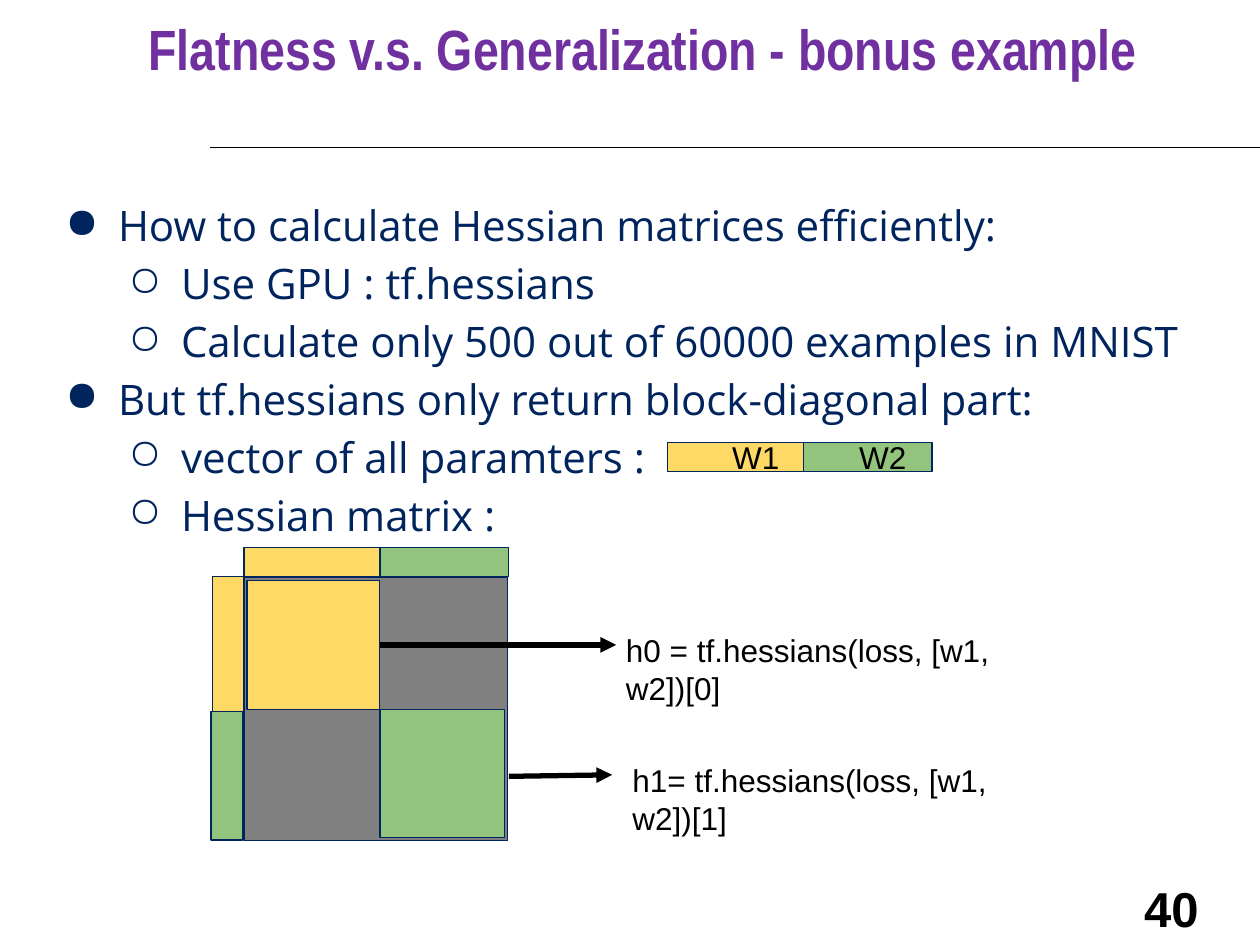
from lxml import etree
from pptx import Presentation
from pptx.dml.color import RGBColor
from pptx.enum import shapes, text
from pptx.oxml.ns import qn
from pptx.util import Cm, Pt

NAVY, BLACK, PURPLE = "00245D", "000000", "7030A0"
YELLOW, GREEN, GRAY = "FFD966", "93C47D", "808080"


def color(hex_string):
    return RGBColor.from_string(hex_string)


def write(paragraph, content, size=18, font="Arial", fill=BLACK, bold=False,
          align=text.PP_ALIGN.LEFT):
    paragraph.alignment = align
    run = paragraph.add_run()
    run.text = content
    run.font.size = Pt(size)
    run.font.name = font
    run.font.bold = bold
    run.font.color.rgb = color(fill)


presentation = Presentation()
presentation.slide_width, presentation.slide_height = Cm(25.4), Cm(19.05)
slide = presentation.slides.add_slide(presentation.slide_layouts[5])

# Title
title = slide.shapes.title
title.left, title.top, title.width, title.height = Cm(2.74), Cm(0.03), Cm(23.67), Cm(2.62)
title.text_frame.vertical_anchor = text.MSO_ANCHOR.TOP
title.text_frame.auto_size = text.MSO_AUTO_SIZE.NONE
title.text_frame.margin_top = Cm(0.25)
write(title.text_frame.paragraphs[0], "Flatness v.s. Generalization - bonus example",
      size=32.4, font="Arial Narrow", fill=PURPLE, bold=True)

# Bullet list
body = slide.shapes.add_textbox(Cm(0.86), Cm(3.63), Cm(23.67), Cm(15.01)).text_frame
body.word_wrap = True
body.margin_top = Cm(0.25)
bullets = [
    (0, "How to calculate Hessian matrices efficiently:"),
    (1, "Use GPU : tf.hessians"),
    (1, "Calculate only 500 out of 60000 examples in MNIST"),
    (0, "But tf.hessians only return block-diagonal part:"),
    (1, "vector of all paramters :"),
    (1, "Hessian matrix :"),
]
for index, (level, content) in enumerate(bullets):
    paragraph = body.add_paragraph() if index else body.paragraphs[0]
    paragraph.level = level
    paragraph.line_spacing = 1.15
    write(paragraph, content, size=24, font="Open Sans", fill=NAVY)
    properties = paragraph._p.get_or_add_pPr()
    properties.set("marL", str(Cm(1.27 * (level + 1))))
    properties.set("indent", str(Cm(-1.06)))
    bullet_color = etree.SubElement(properties, qn("a:buClr"))
    etree.SubElement(bullet_color, qn("a:srgbClr"), val=NAVY)
    etree.SubElement(properties, qn("a:buChar"), char="●○"[level])

# Hessian matrix, its row and column strips, and the parameter vector
W1, W2, BAND = 2.74, 2.59, 0.59
LEFT, TOP = 4.92, 11.63
VECTOR_LEFT, VECTOR_TOP = 13.46, 8.92
blocks = [  # left, top, width, height, rotation, fill, label, label inset
    (LEFT, TOP, 5.31, 5.31, 0, GRAY, "", 0),
    (LEFT, TOP - BAND, W1, BAND, 0, YELLOW, "", 0),
    (3.23, 12.67, W1, 0.64, 270, YELLOW, "", 0),
    (LEFT + W1, TOP - BAND, W2, BAND, 0, GREEN, "", 0),
    (3.28, 15.32, W2, 0.64, 90, GREEN, "", 0),
    (4.98, 11.71, 2.67, 2.59, 0, YELLOW, "", 0),
    (LEFT + W1, 14.3, 2.51, 2.59, 0, GREEN, "", 0),
    (VECTOR_LEFT, VECTOR_TOP, W1, BAND, 0, YELLOW, "W1", 1.3),
    (VECTOR_LEFT + W1, VECTOR_TOP, W2, BAND, 0, GREEN, "W2", 1.12),
]
for left, top, width, height, rotation, fill, label, inset in blocks:
    block = slide.shapes.add_shape(shapes.MSO_SHAPE.RECTANGLE,
                                   Cm(left), Cm(top), Cm(width), Cm(height))
    block.rotation = rotation
    block.shadow.inherit = False
    block.fill.solid()
    block.fill.fore_color.rgb = color(fill)
    block.line.color.rgb = color(NAVY)
    block.line.width = Pt(0.75)
    if label:
        frame = block.text_frame
        frame.margin_left, frame.margin_right = Cm(inset), Cm(0)
        frame.margin_top = frame.margin_bottom = Cm(0.25)
        frame.vertical_anchor = text.MSO_ANCHOR.MIDDLE
        write(frame.paragraphs[0], label)

# Title rule and arrows to the calls
lines = [  # start x, start y, end x, end y, width, arrowhead
    (4.24, 2.97, 25.4, 2.97, 0.75, False),
    (LEFT + W1, 13, 12.42, 13, 3, True),
    (10.26, 15.65, 12.34, 15.62, 3, True),
]
for start_x, start_y, end_x, end_y, width, arrowhead in lines:
    line = slide.shapes.add_connector(shapes.MSO_CONNECTOR.STRAIGHT,
                                      Cm(start_x), Cm(start_y), Cm(end_x), Cm(end_y))
    line.line.color.rgb = color(BLACK)
    line.line.width = Pt(width)
    if arrowhead:
        etree.SubElement(line.line._get_or_add_ln(), qn("a:tailEnd"), type="triangle")
    etree.SubElement(line._element.spPr, qn("a:effectLst"))

# Calls and page number
labels = [  # left, top, width, height, content, format
    (12.37, 12.47, 8.53, 1.02, "h0 = tf.hessians(loss, [w1, w2])[0]", {}),
    (12.5, 15.09, 7.85, 1.02, "h1= tf.hessians(loss, [w1, w2])[1]", {}),
    (22.66, 17.58, 1.91, 1.45, "40",
     {"size": 28, "bold": True, "align": text.PP_ALIGN.CENTER}),
]
for left, top, width, height, content, text_format in labels:
    frame = slide.shapes.add_textbox(Cm(left), Cm(top), Cm(width), Cm(height)).text_frame
    frame.word_wrap = True
    if not text_format:
        frame.margin_top = frame.margin_bottom = Cm(0.25)
    write(frame.paragraphs[0], content, **text_format)

presentation.save("out.pptx")
